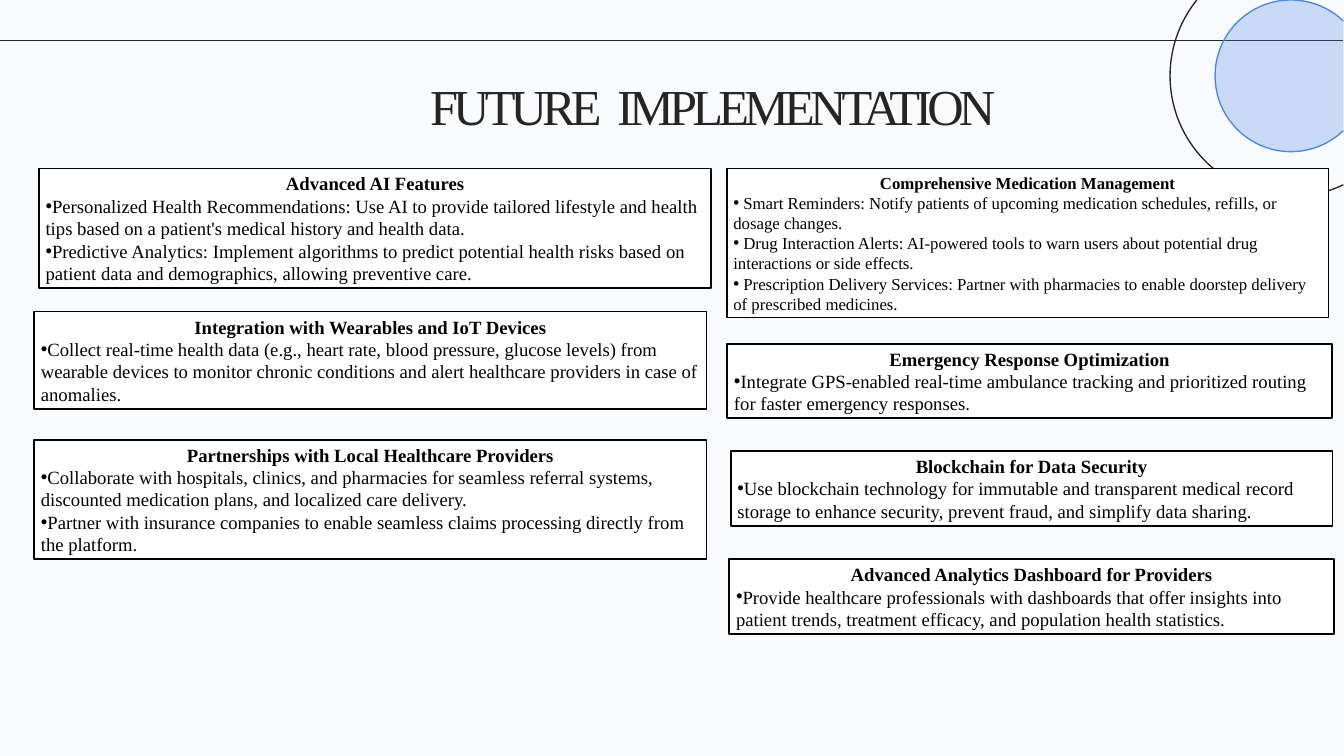
from dataclasses import dataclass
from math import acos, asin, cos, pi, sin

from lxml.etree import SubElement
from pptx import Presentation
from pptx.dml.color import RGBColor
from pptx.enum.shapes import MSO_CONNECTOR, MSO_SHAPE
from pptx.enum.text import MSO_ANCHOR, MSO_AUTO_SIZE, PP_ALIGN
from pptx.oxml.ns import qn
from pptx.util import Inches, Pt


@dataclass(frozen=True)
class Theme:
    font: str = "Times New Roman"
    background: RGBColor = RGBColor.from_string("F8FAFB")
    ink: RGBColor = RGBColor.from_string("262425")
    blue: RGBColor = RGBColor.from_string("4A86E8")
    black: RGBColor = RGBColor.from_string("000000")
    white: RGBColor = RGBColor.from_string("FFFFFF")
    title_size: int = 54
    body_size: int = 20
    dense_size: int = 18


theme = Theme()


def add_text(paragraph, text, size, color, bold=False, align=PP_ALIGN.LEFT,
             spacing=None, bullet=None):
    """Add a run to the paragraph; spacing is in points."""
    paragraph.alignment = align
    run = paragraph.add_run()
    run.text = text
    run.font.name = theme.font
    run.font.size = Pt(size)
    run.font.bold = bold
    run.font.color.rgb = color
    if spacing is not None:
        run._r.get_or_add_rPr().set("spc", str(round(spacing * 100)))
    if bullet:
        properties = paragraph._p.get_or_add_pPr()
        SubElement(properties, qn("a:buFont")).set("typeface", "Arial")
        SubElement(properties, qn("a:buChar")).set("char", bullet)


def add_arc(shapes, radius, start, end, closed=False):
    """Draw an arc around the corner circles' centre, angles in radians."""
    steps = 60
    angles = [start + (end - start) * step / steps for step in range(steps + 1)]
    points = [(Inches(center_x + radius * cos(angle)),
               Inches(center_y + radius * sin(angle))) for angle in angles]
    builder = shapes.build_freeform(*points[0])
    builder.add_line_segments(points[1:], close=closed)
    shape = builder.convert_to_shape()
    shape.shadow.inherit = False
    return shape


presentation = Presentation()
presentation.slide_width = Inches(20.01)
presentation.slide_height = Inches(11.26)
slide = presentation.slides.add_slide(presentation.slide_layouts[6])
slide.background.fill.solid()
slide.background.fill.fore_color.rgb = theme.background

# Rule across the top
rule = slide.shapes.add_connector(
    MSO_CONNECTOR.STRAIGHT, Inches(0), Inches(0.6), Inches(20), Inches(0.6))
rule.line.color.rgb = theme.ink
rule.line.width = Pt(1.47)
SubElement(rule._element.spPr, qn("a:effectLst"))

# Title
title = slide.shapes.add_textbox(Inches(6.04), Inches(1.11), Inches(9.14), Inches(0.92))
title_frame = title.text_frame
title_frame.word_wrap = True
title_frame.auto_size = MSO_AUTO_SIZE.SHAPE_TO_FIT_TEXT
title_frame.margin_left = title_frame.margin_right = title_frame.margin_bottom = 0
title_frame.margin_top = Inches(0.01)
title_frame.paragraphs[0].space_before = Pt(0.9)
for text, spacing in (("FUTURE", -5.2), (" ", 3.1), ("IMPLEMENTATION", -5.2)):
    add_text(title_frame.paragraphs[0], text, theme.title_size, theme.ink,
             align=PP_ALIGN.CENTER, spacing=spacing)

# Corner circles, cut off by the top and right edges
center_x, center_y, right_edge = 19.22, 1.13, 20
ring_radius, disc_radius = 1.8, 1.13
ring_start = acos((right_edge - center_x) / ring_radius)
ring_end = pi + asin(center_y / ring_radius)
disc_start = acos((right_edge - center_x) / disc_radius)
disc_end = 2 * pi - disc_start

corner = slide.shapes.add_group_shape()
ring = add_arc(corner.shapes, ring_radius, ring_start, ring_end)
disc = add_arc(corner.shapes, disc_radius, disc_start, disc_end, closed=True)
disc_outline = add_arc(corner.shapes, disc_radius, disc_start, disc_end)
for arc, color in ((ring, theme.ink), (disc_outline, theme.blue)):
    arc.fill.background()
    arc.line.color.rgb = color
    arc.line.width = Pt(1.41)
disc.line.fill.background()
disc.fill.solid()
disc.fill.fore_color.rgb = theme.blue
disc_color = disc._element.spPr.find(qn("a:solidFill"))[0]
SubElement(disc_color, qn("a:alpha")).set("val", "27000")

# Feature cards: left, top, width, height, type size, heading, points
cards = [
    (0.58, 2.51, 10.01, 1.78, theme.body_size, "Advanced AI Features", [
        "Personalized Health Recommendations: Use AI to provide tailored lifestyle and health tips based on a patient's medical history and health data.",
        "Predictive Analytics: Implement algorithms to predict potential health risks based on patient data and demographics, allowing preventive care."]),
    (0.51, 4.64, 10.01, 1.45, theme.body_size, "Integration with Wearables and IoT Devices", [
        "Collect real-time health data (e.g., heart rate, blood pressure, glucose levels) from wearable devices to monitor chronic conditions and alert healthcare providers in case of anomalies."]),
    (0.51, 6.55, 10.01, 1.78, theme.body_size, "Partnerships with Local Healthcare Providers", [
        "Collaborate with hospitals, clinics, and pharmacies for seamless referral systems, discounted medication plans, and localized care delivery.",
        "Partner with insurance companies to enable seamless claims processing directly from the platform."]),
    (10.82, 2.51, 8.96, 2.22, theme.dense_size, "Comprehensive Medication Management", [
        " Smart Reminders: Notify patients of upcoming medication schedules, refills, or dosage changes.",
        " Drug Interaction Alerts: AI-powered tools to warn users about potential drug interactions or side effects.",
        " Prescription Delivery Services: Partner with pharmacies to enable doorstep delivery of prescribed medicines."]),
    (10.83, 5.12, 9, 1.11, theme.body_size, "Emergency Response Optimization", [
        "Integrate GPS-enabled real-time ambulance tracking and prioritized routing for faster emergency responses."]),
    (10.88, 6.72, 8.96, 1.11, theme.body_size, "Blockchain for Data Security", [
        "Use blockchain technology for immutable and transparent medical record storage to enhance security, prevent fraud, and simplify data sharing."]),
    (10.86, 8.33, 9, 1.11, theme.body_size, "Advanced Analytics Dashboard for Providers", [
        "Provide healthcare professionals with dashboards that offer insights into patient trends, treatment efficacy, and population health statistics."]),
]
for left, top, width, height, size, heading, points in cards:
    card = slide.shapes.add_shape(
        MSO_SHAPE.RECTANGLE, Inches(left), Inches(top), Inches(width), Inches(height))
    card.shadow.inherit = False
    card.fill.solid()
    card.fill.fore_color.rgb = theme.white
    card.line.color.rgb = theme.black
    card.line.width = Pt(2)
    frame = card.text_frame
    frame.word_wrap = True
    frame.auto_size = MSO_AUTO_SIZE.SHAPE_TO_FIT_TEXT
    frame.vertical_anchor = MSO_ANCHOR.MIDDLE
    add_text(frame.paragraphs[0], heading, size, theme.black, bold=True,
             align=PP_ALIGN.CENTER)
    for point in points:
        add_text(frame.add_paragraph(), point, size, theme.black, bullet="•")

presentation.save("out.pptx")
